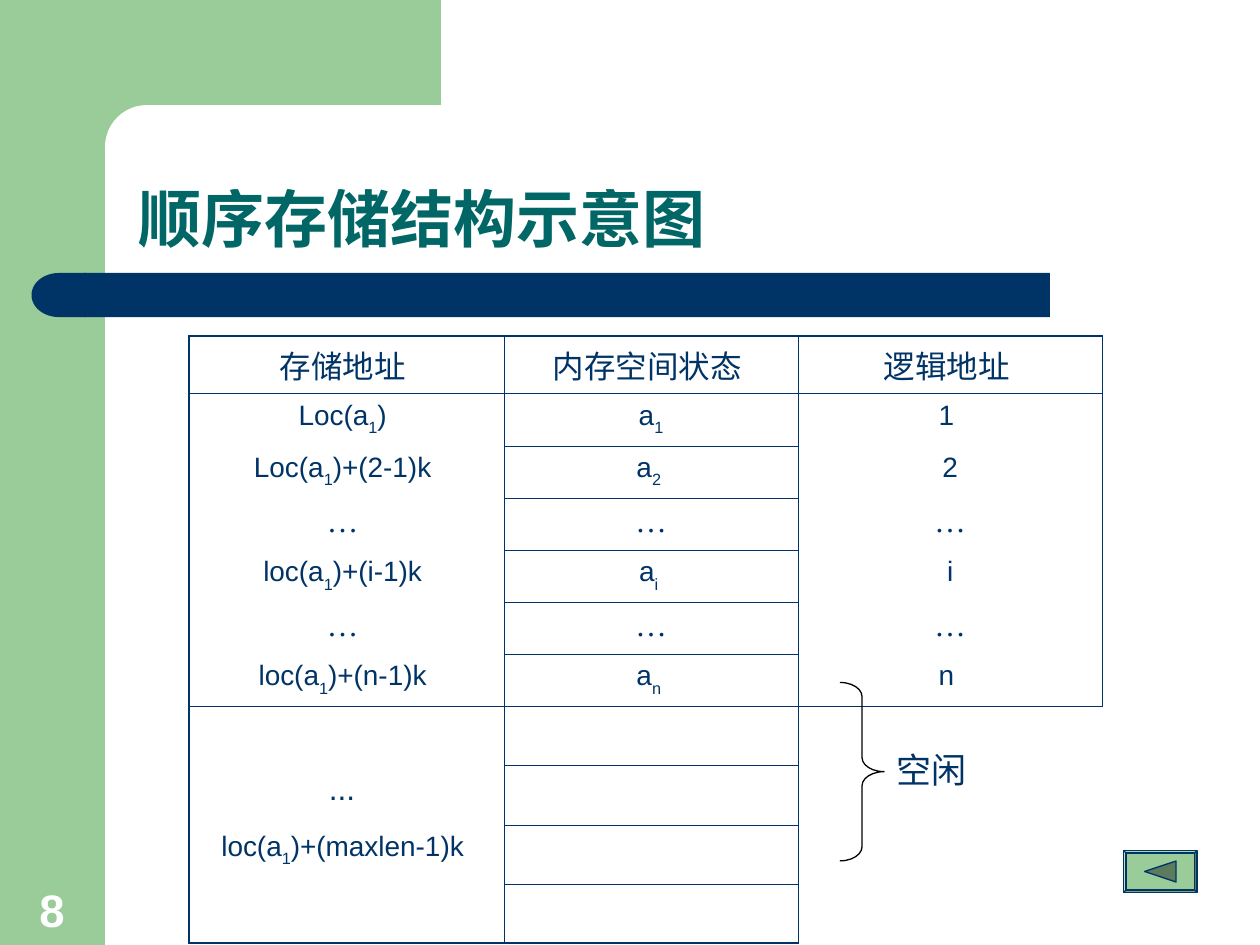
from pptx import Presentation
from pptx.dml.color import RGBColor
from pptx.enum.shapes import MSO_SHAPE as Kind
from pptx.enum.text import MSO_ANCHOR as Anchor, PP_ALIGN as Align
from pptx.oxml.ns import qn
from pptx.util import Inches, Pt
from lxml.etree import SubElement, Element

UNIT = Inches(1) // 12
GREEN, NAVY, TEAL, WHITE = "99CC99", "003366", "006666", "FFFFFF"
CJK, ARIAL, TIMES = "Noto Sans CJK SC", "Arial", "Times New Roman"
hue = RGBColor.from_string


def write(para, text, size, face, tint=NAVY, bold=False):
    for n, part in enumerate(text.split("_")):
        if part:
            run = para.add_run()
            run.text = part
            font = run.font
            font.size, font.name, font.bold = Pt(size), face, bold
            font.color.rgb = hue(tint)
            props = run._r.get_or_add_rPr()
            SubElement(props, qn("a:ea")).set("typeface", CJK)
            if n % 2:
                props.set("baseline", "-30000")


def draw(kind, box, fill, line=None, adj=None):
    shape = slide.shapes.add_shape(kind, *[int(v * UNIT) for v in box])
    shape.shadow.inherit = False
    if fill:
        shape.fill.solid()
        shape.fill.fore_color.rgb = hue(fill)
    else:
        shape.fill.background()
    if line:
        shape.line.color.rgb = hue(line)
        shape.line.width = Pt(0.75)
    else:
        shape.line.fill.background()
    if adj is not None:
        shape.adjustments[0] = adj
    return shape


deck = Presentation()
deck.slide_width, deck.slide_height = 120 * UNIT, 90 * UNIT
slide = deck.slides.add_slide(deck.slide_layouts[5])

draw(Kind.RECTANGLE, (0, 0, 10, 90), GREEN)
draw(Kind.RECTANGLE, (9, 0, 33, 14), GREEN)
draw(Kind.ROUNDED_RECTANGLE, (10, 10, 67, 8), WHITE, adj=0.5)
draw(Kind.RECTANGLE, (8, 26, 92, 4.2), NAVY)
cap = draw(Kind.FLOWCHART_DELAY, (3, 26, 5.2, 4.2), NAVY)
cap._element.spPr.find(qn("a:xfrm")).set("flipH", "1")

title = slide.shapes.title
title.left, title.top, title.width, title.height = [v * UNIT for v in (12, 10, 105, 15)]
frame = title.text_frame
frame.vertical_anchor = Anchor.BOTTOM
para = frame.paragraphs[0]
para.alignment, para.line_spacing = Align.LEFT, 0.9
write(para, "顺序存储结构示意图", 36, TIMES, TEAL, True)

for text, box, size, face, tint, bold, anchor in [
    ("8", (1.1, 83.3, 7.7, 6.5), 26, ARIAL, WHITE, True, Anchor.BOTTOM),
    ("空闲", (84.2, 70.7, 14, 8.5), 20, TIMES, NAVY, False, Anchor.TOP),
]:
    frame = slide.shapes.add_textbox(*[int(v * UNIT) for v in box]).text_frame
    frame.word_wrap, frame.vertical_anchor = True, anchor
    para = frame.paragraphs[0]
    para.alignment = Align.CENTER if bold else Align.LEFT
    write(para, text, size, face, tint, bold)

rows = [
    ("存储地址 ", "内存空间状态 ", "逻辑地址 "),
    ("Loc(a_1_) ", "a_1", "1 "),
    ("Loc(a_1_)+(2-1)k ", "a_2 ", "2"),
    ("… ", "…", "…"),
    ("loc(a_1_)+(i-1)k ", "a_i ", "i"),
    ("… ", "…", "…"),
    ("loc(a_1_)+(n-1)k ", "a_n ", "n "),
    ("", "", ""),
    ("... ", "", ""),
    ("loc(a_1_)+(maxlen-1)k ", "", ""),
    ("", "", ""),
]
wide = [30, 28, 29]
high = [5.5] + [4.95] * 6 + [5.64] * 4
grid = slide.shapes.add_table(
    len(rows), 3, 18 * UNIT, 32 * UNIT, sum(wide) * UNIT, int(sum(high) * UNIT)
).table
grid.first_row = grid.horz_banding = False
for col, size in zip(grid.columns, wide):
    col.width = size * UNIT
for row, size in zip(grid.rows, high):
    row.height = int(size * UNIT)
grid.cell(7, 2).merge(grid.cell(10, 2))

for r, row in enumerate(rows):
    for c, text in enumerate(row):
        cell = grid.cell(r, c)
        cell.fill.background()
        para = cell.text_frame.paragraphs[0]
        para.alignment = Align.CENTER
        face = CJK if r == 0 else TIMES if "…" in text else ARIAL
        write(para, text, 18 if r == 0 or text[:1] in ("…", ".") else 16, face)
        mid, free = c == 1, c == 2 and r > 6
        edges = [
            ("lnL", True, c == 0),
            ("lnR", not free, c == 2),
            ("lnT", mid or r in (0, 1, 7), r == 0),
            ("lnB", mid or r in (0, 6, 10) and not free, r == 10),
        ]
        props = cell._tc.get_or_add_tcPr()
        for n, (tag, shown, outer) in enumerate(edges):
            edge = Element(qn("a:" + tag), w=str(Pt(1.08 if outer else 0.45)))
            props.insert(n, edge)
            if shown:
                fill = SubElement(edge, qn("a:solidFill"))
                SubElement(fill, qn("a:srgbClr")).set("val", NAVY)
            else:
                SubElement(edge, qn("a:noFill"))

draw(Kind.RIGHT_BRACE, (80, 65, 4.2, 17), None, "000000", 0.32)

draw(Kind.BEVEL, (107, 81, 7, 4), GREEN, NAVY, 0.06)
path = slide.shapes.build_freeform(109.2, 83, scale=UNIT)
path.add_line_segments([(111.8, 81.7), (111.8, 84.3)], close=True)
back = path.convert_to_shape()
back.shadow.inherit = False
back.fill.solid()
back.fill.fore_color.rgb = hue("5C7A5C")
back.line.color.rgb = hue(NAVY)
back.line.width = Pt(0.75)

deck.save("out.pptx")
